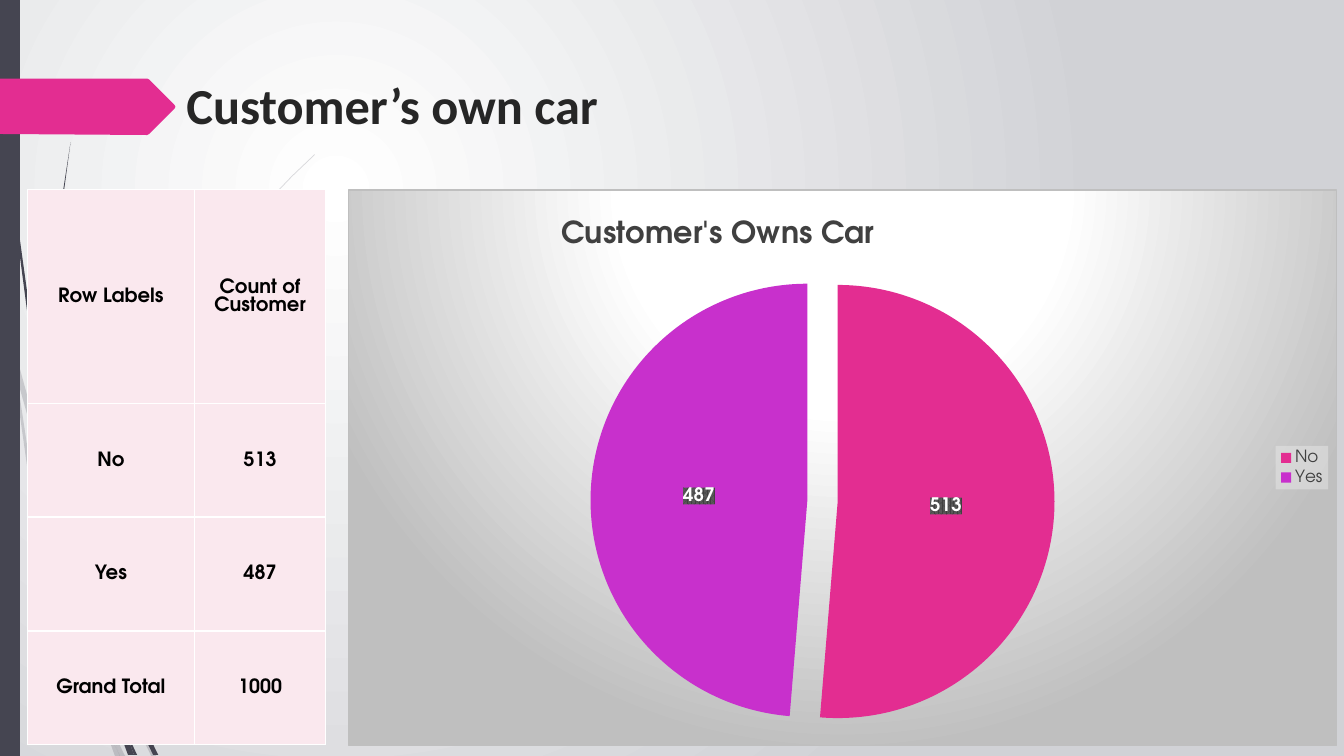
from dataclasses import dataclass

import pptx
import pptx.chart.data
import pptx.dml.color
import pptx.enum.chart
import pptx.enum.text
import pptx.oxml
import pptx.oxml.ns
import pptx.util

PX = 9144  # EMU per px, 100 px to the inch
DISPLAY_FONT = "TeX Gyre Adventor"
SLATE, PINK, PURPLE, GRAY, DARK_GRAY = "454551", "E32D91", "C830CC", "BFBFBF", "404040"
NAMESPACES = pptx.oxml.ns.nsdecls("a", "c")
qn = pptx.oxml.ns.qn
Point = tuple[int, int]


@dataclass(frozen=True)
class Outline:
    points: list[Point]
    color: str = SLATE
    opacity: int = 100


@dataclass(frozen=True)
class Layout:
    x: float
    y: float
    width: float = 0
    height: float = 0


# Curved strands, each a closed outline
PALE_STRANDS = [
    [(11, 350), (9, 322), (0, 282), (0, 299), (10, 344)],
    [(58, 522), (84, 599), (85, 586), (62, 520), (14, 345), (17, 376)],
    [(92, 607), (88, 596), (88, 610), (123, 694), (150, 750), (155, 750), (127, 692)],
    [(119, 750), (124, 750), (105, 711)],
    [(93, 683), (70, 619), (31, 469), (17, 376), (11, 350), (28, 470), (65, 621), (92, 693),
     (101, 714), (99, 707)],
    [(84, 599), (87, 646), (93, 683), (96, 692), (105, 711), (103, 706), (91, 646), (88, 610),
     (88, 608)],
    [(88, 584), (110, 462), (160, 349), (229, 245), (268, 198), (290, 175), (312, 154),
     (312, 153), (289, 175), (268, 197), (228, 244), (158, 348), (107, 461), (85, 584),
     (85, 586), (88, 596)],
    [(101, 714), (114, 750), (119, 750)],
    [(88, 608), (88, 610), (88, 596), (85, 586), (84, 599)],
    [(96, 692), (93, 683), (99, 707), (101, 714), (119, 750), (105, 711)],
]
DARK_STRANDS = [
    [(7, 110), (17, 233), (33, 355), (56, 477), (57, 481), (55, 457), (55, 453), (36, 355),
     (19, 232), (8, 109), (5, 48), (4, 0), (3, 0), (4, 48)],
    [(88, 592), (106, 645), (106, 631), (93, 590), (60, 472), (64, 505)],
    [(113, 649), (110, 641), (111, 656), (132, 708), (152, 749), (157, 749), (136, 706)],
    [(110, 691), (98, 657), (72, 556), (64, 505), (57, 477), (68, 557), (93, 659), (111, 708),
     (117, 722), (116, 717)],
    [(60, 472), (58, 453), (54, 349), (58, 245), (63, 193), (70, 141), (62, 193), (56, 245),
     (52, 349), (55, 449)],
    [(133, 749), (136, 749), (122, 719)],
    [(57, 477), (64, 505), (60, 472), (55, 449), (55, 453)],
    [(111, 633), (125, 552), (158, 476), (205, 406), (231, 374), (245, 359), (261, 344),
     (260, 344), (245, 358), (231, 373), (204, 405), (156, 474), (122, 551), (106, 631),
     (110, 641)],
    [(117, 722), (127, 749), (131, 749)],
    [(106, 645), (110, 691), (116, 706), (122, 719), (121, 716), (111, 656), (109, 651)],
    [(106, 645), (109, 651), (111, 656), (110, 641), (106, 631)],
    [(116, 706), (110, 691), (116, 717), (117, 722), (130, 749), (133, 749), (122, 719)],
]
SIDEBAR = [(0, 0), (20, 0), (20, 750), (0, 750)]
ARROW = [(0, 78), (146, 78), (148, 79), (173, 104), (174, 106), (173, 108), (148, 133),
         (146, 134), (0, 133)]


def rgb(color: str) -> pptx.dml.color.RGBColor:
    return pptx.dml.color.RGBColor.from_string(color)


def xml(markup: str):
    """Parse one element, declaring the namespaces on its root tag."""
    tag, rest = markup.split(">", 1)
    return pptx.oxml.parse_xml(f"{tag} {NAMESPACES}>{rest}")


def color_markup(color: str, opacity: int = 100) -> str:
    return f'<a:srgbClr val="{color}"><a:alpha val="{opacity * 1000}"/></a:srgbClr>'


def radial_gradient(stops: list[tuple[int, str]], focus: tuple[int, int, int, int]) -> str:
    stop_markup = "".join(
        f'<a:gs pos="{position * 1000}">{color_markup(color)}</a:gs>' for position, color in stops)
    left, top, right, bottom = (edge * 1000 for edge in focus)
    return (f'<a:gradFill><a:gsLst>{stop_markup}</a:gsLst><a:path path="circle">'
            f'<a:fillToRect l="{left}" t="{top}" r="{right}" b="{bottom}"/></a:path></a:gradFill>')


def style_font(font, size: float, color: str, bold: bool = False, name: str = DISPLAY_FONT) -> None:
    font.name, font.size, font.bold = name, pptx.util.Pt(size), bold
    font.color.rgb = rgb(color)


def draw_outline(shapes, outline: Outline) -> None:
    start, *others = outline.points
    builder = shapes.build_freeform(*start, scale=PX)
    builder.add_line_segments(others, close=True)
    shape = builder.convert_to_shape()
    shape.shadow.inherit = False
    shape.fill.solid()
    shape.fill.fore_color.rgb = rgb(outline.color)
    if outline.opacity < 100:
        color = shape.element.spPr.find(".//" + qn("a:srgbClr"))
        color.append(xml(f'<a:alpha val="{outline.opacity * 1000}"></a:alpha>'))
    shape.line.fill.background()


def draw_title(slide) -> None:
    box = slide.shapes.add_textbox(175 * PX, 69 * PX, 975 * PX, 140 * PX)
    box.text_frame.word_wrap = True
    paragraph = box.text_frame.paragraphs[0]
    paragraph.text = "Customer’s own car"
    style_font(paragraph.font, 36, "262626", True, "Calibri")


def draw_table(slide, rows: list[tuple[str, str]]) -> None:
    widths, heights = [166, 130], [212, 113, 113, 113]
    table = slide.shapes.add_table(len(rows), 2, 27 * PX, 188 * PX,
                                   sum(widths) * PX, sum(heights) * PX).table
    table.first_row = table.horz_banding = False
    for column, width in zip(table.columns, widths):
        column.width = width * PX
    for row, height, texts in zip(table.rows, heights, rows):
        row.height = height * PX
        for cell, text in zip(row.cells, texts):
            properties = cell._tc.get_or_add_tcPr()
            for side in "LRTB":
                properties.append(xml(f'<a:ln{side} w="12700"><a:solidFill>{color_markup("FFFFFF")}'
                                      f'</a:solidFill></a:ln{side}>'))
            cell.fill.solid()
            cell.fill.fore_color.rgb = rgb("FAE8EE")
            cell.margin_left = cell.margin_right = cell.margin_top = PX
            cell.margin_bottom = 0
            cell.vertical_anchor = pptx.enum.text.MSO_ANCHOR.MIDDLE
            paragraph = cell.text_frame.paragraphs[0]
            paragraph.text = text
            paragraph.alignment = pptx.enum.text.PP_ALIGN.CENTER
            paragraph.line_spacing = pptx.util.Pt(13)
            style_font(paragraph.font, 14, "000000", True)


def place(element, layout: Layout) -> None:
    """Give a chart title or plot area a manual layout."""
    for old_layout in element.findall(qn("c:layout")):
        element.remove(old_layout)
    target = '<c:layoutTarget val="inner"/>' if layout.width else ""
    size = f'<c:w val="{layout.width}"/><c:h val="{layout.height}"/>' if layout.width else ""
    index = 0 if element.find(qn("c:tx")) is None else 1
    element.insert(index, xml(
        f'<c:layout><c:manualLayout>{target}<c:xMode val="edge"/><c:yMode val="edge"/>'
        f'<c:x val="{layout.x}"/><c:y val="{layout.y}"/>{size}</c:manualLayout></c:layout>'))


def draw_chart(slide) -> None:
    data = pptx.chart.data.CategoryChartData()
    data.categories = ["No", "Yes"]
    data.add_series("Series 1", [513, 487])
    chart = slide.shapes.add_chart(pptx.enum.chart.XL_CHART_TYPE.PIE, 345 * PX, 188 * PX,
                                   981 * PX, 552 * PX, data).chart
    style_font(chart.font, 10, "000000")
    backdrop = radial_gradient([(0, "FFFFFF"), (39, "FFFFFF"), (100, GRAY)], (50, -80, 50, 180))
    chart.element.find(qn("c:chart")).addnext(xml(
        f'<c:spPr>{backdrop}<a:ln w="9525"><a:solidFill>{color_markup(GRAY)}</a:solidFill></a:ln>'
        '</c:spPr>'))

    # Chart title and plot area
    chart.has_title = True
    paragraph = chart.chart_title.text_frame.paragraphs[0]
    paragraph.text = "Customer's Owns Car"
    style_font(paragraph.font, 21.6, DARK_GRAY, True)
    place(chart.chart_title._element, Layout(0.21, 0.04))
    place(chart.element.find(".//" + qn("c:plotArea")), Layout(0.26, 0.17, 0.44, 0.78))

    # Legend
    chart.has_legend = True
    chart.legend.position = pptx.enum.chart.XL_LEGEND_POSITION.RIGHT
    chart.legend.include_in_layout = False
    style_font(chart.legend.font, 12, DARK_GRAY)
    chart.legend._element.find(qn("c:txPr")).addprevious(xml(
        f'<c:spPr><a:solidFill>{color_markup("F2F2F2", 39)}</a:solidFill></c:spPr>'))

    # Slices pulled apart, with values on a dark pattern
    plot = chart.plots[0]
    plot.vary_by_categories = True
    series = plot.series[0]
    for index, color in enumerate([PINK, PURPLE]):
        fill = series.points[index].format.fill
        fill.solid()
        fill.fore_color.rgb = rgb(color)
    for slice_element in series._element.findall(qn("c:dPt")):
        slice_element.find(qn("c:spPr")).addprevious(xml('<c:explosion val="7"></c:explosion>'))
    labels = series.data_labels
    labels.show_value = True
    labels.show_percentage = False
    labels.position = pptx.enum.chart.XL_LABEL_POSITION.CENTER
    style_font(labels.font, 13.3, "FFFFFF", True)
    labels._element.find(qn("c:txPr")).addprevious(xml(
        f'<c:spPr><a:pattFill prst="pct75"><a:fgClr>{color_markup(DARK_GRAY)}</a:fgClr>'
        f'<a:bgClr>{color_markup("595959")}</a:bgClr></a:pattFill></c:spPr>'))


def main() -> None:
    presentation = pptx.Presentation()
    presentation.slide_width, presentation.slide_height = 1333 * PX, 750 * PX
    slide = presentation.slides.add_slide(presentation.slide_layouts[6])

    # Background
    slide.background.fill.solid()
    solid_fill = slide.element.find(".//" + qn("p:bgPr")).find(qn("a:solidFill"))
    gradient = radial_gradient([(0, "FFFFFF"), (100, "D1D2D6")], (50, 50, 100, 100))
    solid_fill.getparent().replace(solid_fill, xml(gradient))

    # Decoration on the left
    for strands, opacity in [(PALE_STRANDS, 20), (DARK_STRANDS, 100)]:
        group = slide.shapes.add_group_shape()
        for points in strands:
            draw_outline(group.shapes, Outline(points, opacity=opacity))
    draw_outline(slide.shapes, Outline(SIDEBAR))
    draw_outline(slide.shapes, Outline(ARROW, PINK))

    # Content
    draw_title(slide)
    draw_table(slide, [("Row Labels", "Count of Customer"), ("No", "513"), ("Yes", "487"),
                       ("Grand Total", "1000")])
    draw_chart(slide)
    presentation.save("out.pptx")


if __name__ == "__main__":
    main()
